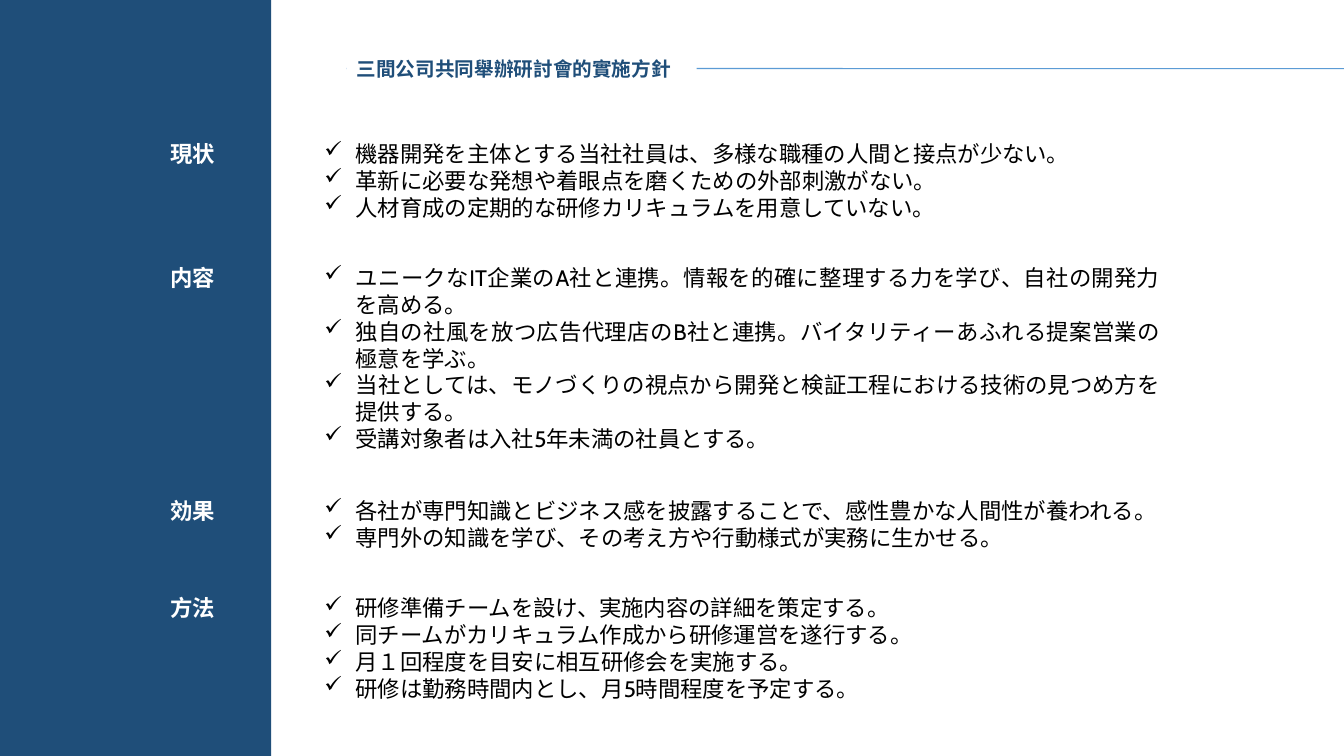
from lxml import etree
from pptx import Presentation
from pptx.dml.color import RGBColor
from pptx.enum.shapes import MSO_CONNECTOR, MSO_SHAPE
from pptx.enum.text import MSO_ANCHOR, PP_ALIGN
from pptx.oxml.ns import qn
from pptx.util import Inches, Pt

NAVY = RGBColor(0x1F, 0x4E, 0x79)
SKY = RGBColor(0x5B, 0x9B, 0xD5)
WHITE = RGBColor(0xFF, 0xFF, 0xFF)
BLACK = RGBColor(0x00, 0x00, 0x00)
RECTANGLE = MSO_SHAPE.RECTANGLE
STRAIGHT = MSO_CONNECTOR.STRAIGHT
MIDDLE = MSO_ANCHOR.MIDDLE
LEFT, RIGHT, JUSTIFY = PP_ALIGN.LEFT, PP_ALIGN.RIGHT, PP_ALIGN.JUSTIFY
LEFT_SIDE = 1

TITLE = "三間公司共同舉辦研討會的實施方針"
LINE_HEIGHT, BOX_PADDING = 3.56, 1.33
SECTIONS = [
    ("現状", 17.87, 3, [
        "機器開発を主体とする当社社員は、多様な職種の人間と接点が少ない。",
        "革新に必要な発想や着眼点を磨くための外部刺激がない。",
        "人材育成の定期的な研修カリキュラムを用意していない。",
    ]),
    ("内容", 34.27, 7, [
        "ユニークなIT企業のA社と連携。情報を的確に整理する力を学び、自社の開発力を高める。",
        "独自の社風を放つ広告代理店のB社と連携。バイタリティーあふれる提案営業の極意を学ぶ。",
        "当社としては、モノづくりの視点から開発と検証工程における技術の見つめ方を提供する。",
        "受講対象者は入社5年未満の社員とする。",
    ]),
    ("効果", 65.07, 2, [
        "各社が専門知識とビジネス感を披露することで、感性豊かな人間性が養われる。",
        "専門外の知識を学び、その考え方や行動様式が実務に生かせる。",
    ]),
    ("方法", 78, 4, [
        "研修準備チームを設け、実施内容の詳細を策定する。",
        "同チームがカリキュラム作成から研修運営を遂行する。",
        "月１回程度を目安に相互研修会を実施する。",
        "研修は勤務時間内とし、月5時間程度を予定する。",
    ]),
]


class PlanPage:
    font_name = "Cabin"
    body_size = Pt(16)
    title_size = Pt(14)

    def __init__(self, deck):
        self.width, self.height = deck.slide_width, deck.slide_height
        self.page = deck.slides.add_slide(deck.slide_layouts[6])

    def place(self, left, top, width, height):
        return (
            round(self.width * left / 100), round(self.height * top / 100),
            round(self.width * width / 100), round(self.height * height / 100),
        )

    def panel(self, area, color):
        box = self.page.shapes.add_shape(RECTANGLE, *self.place(*area))
        box.shadow.inherit = False
        box.fill.solid()
        box.fill.fore_color.rgb = color
        box.line.fill.background()
        return box

    def rule(self, left, top, right):
        x, y, end, _ = self.place(left, top, right, 0)
        line = self.page.shapes.add_connector(STRAIGHT, x, y, end, y)
        line.line.color.rgb = SKY
        line.line.width = Pt(0.75)
        etree.SubElement(line._element.spPr, qn("a:effectLst"))
        return line

    def fill_text(self, box, texts, color, size, align, bold=False, checked=False):
        frame = box.text_frame
        frame.word_wrap = True
        for index, text in enumerate(texts):
            para = frame.add_paragraph() if index else frame.paragraphs[0]
            para.alignment = align
            if checked:
                self.check(para)
            span = para.add_run()
            span.text = text
            span.font.name = self.font_name
            span.font.size = size
            span.font.bold = bold
            span.font.color.rgb = color
            east_asian = etree.SubElement(span.font._element, qn("a:ea"))
            east_asian.set("typeface", self.font_name)

    def check(self, para):
        properties = para._p.get_or_add_pPr()
        properties.set("marL", str(Inches(0.51)))
        properties.set("indent", str(Inches(-0.31)))
        etree.SubElement(properties, qn("a:buChar")).set("char", "✓")

    def text(self, area, texts, **style):
        box = self.page.shapes.add_textbox(*self.place(*area))
        self.fill_text(box, texts, size=self.body_size, **style)

    def title(self, area, text):
        box = self.panel(area, WHITE)
        box.text_frame.vertical_anchor = MIDDLE
        self.fill_text(box, [text], NAVY, self.title_size, LEFT, bold=True)
        return box

    def section(self, heading, top, lines, points):
        self.text((8.78, top, 7.95, LINE_HEIGHT + BOX_PADDING), [heading],
                  color=WHITE, align=RIGHT, bold=True)
        self.text((21.9, top, 65.18, LINE_HEIGHT * lines + BOX_PADDING), points,
                  color=BLACK, align=JUSTIFY, checked=True)


def main():
    deck = Presentation()
    deck.slide_width, deck.slide_height = Inches(13.33), Inches(7.5)
    plan = PlanPage(deck)
    plan.panel((0, 0, 20.18, 100), NAVY)
    for section in SECTIONS:
        plan.section(*section)
    title_rule = plan.rule(25.8, 9.07, 100)
    title = plan.title((25.8, 6.8, 26.03, 4.53), TITLE)
    title_rule.begin_connect(title, LEFT_SIDE)
    deck.save("out.pptx")


if __name__ == "__main__":
    main()
